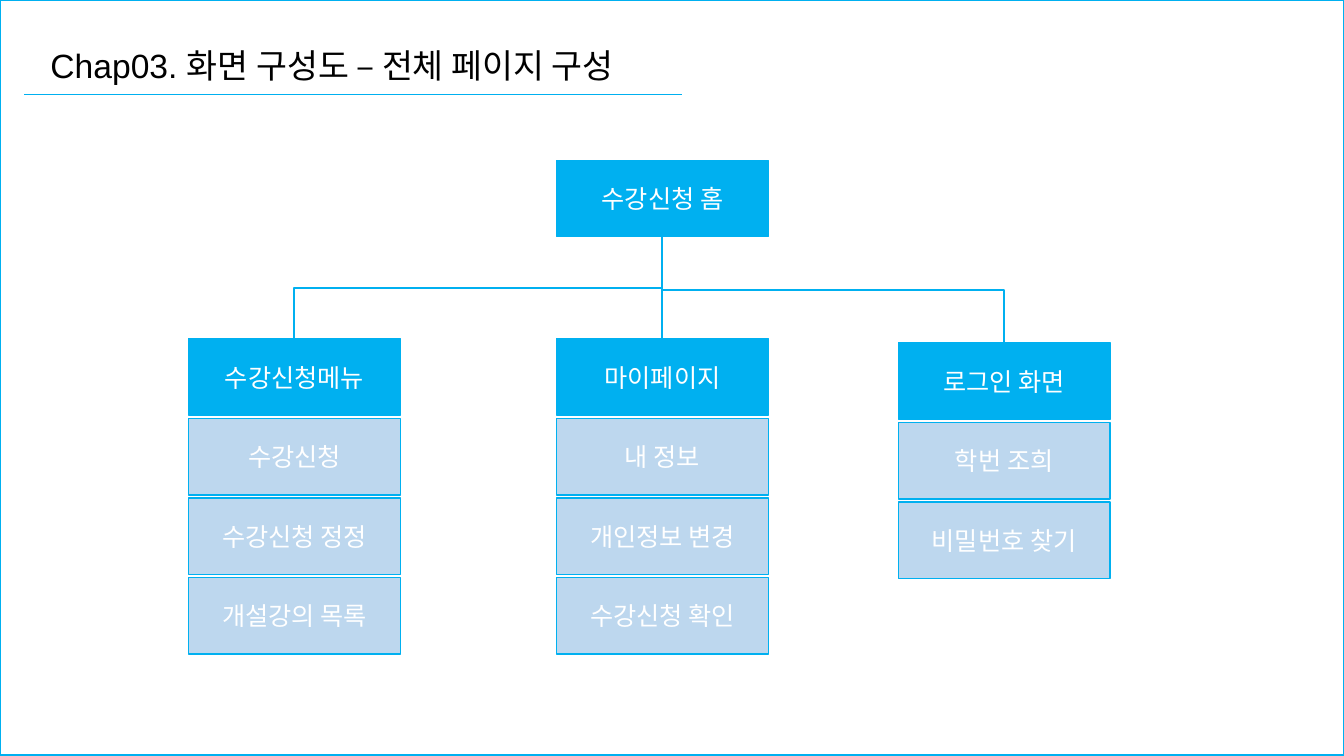
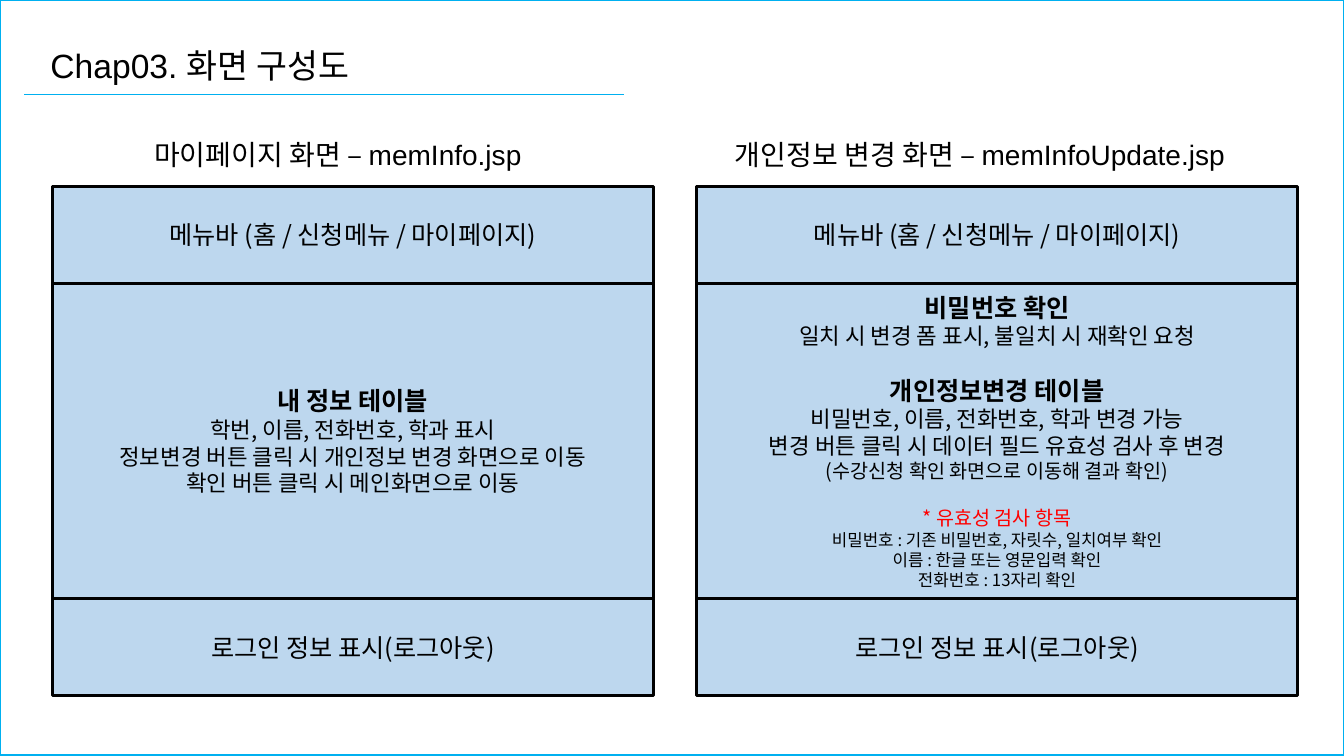
from lxml.etree import SubElement
from pptx import Presentation
from pptx.dml.color import RGBColor
from pptx.enum.shapes import MSO_CONNECTOR as CONN, MSO_SHAPE as SHAPE
from pptx.enum.text import MSO_ANCHOR as ANCHOR, MSO_AUTO_SIZE as FIT, PP_ALIGN as ALIGN
from pptx.oxml.ns import qn
from pptx.util import Inches, Pt

BLUE = RGBColor(0x00, 0xB0, 0xF0)
PALE = RGBColor(0xBD, 0xD7, 0xEE)
BLACK = RGBColor(0, 0, 0)
WHITE = RGBColor(0xFF, 0xFF, 0xFF)
RED = RGBColor(0xFF, 0, 0)
LATIN, KOREAN = "Arial", "Noto Sans CJK KR"


class Deck:
    """Shared style and the slide being built."""

    def __init__(self):
        self.prs = Presentation()
        self.prs.slide_width, self.prs.slide_height = Inches(13.33), Inches(7.5)
        self.slide = None

    def font(self, p, size, color=BLACK, name=KOREAN, bold=False):
        f = p.font
        f.size, f.bold, f.name = Pt(size), bold, name
        f.color.rgb = color
        # Korean characters need the East Asian typeface
        rpr = p._p.pPr.find(qn("a:defRPr"))
        SubElement(rpr, qn("a:ea")).set("typeface", KOREAN)

    def new_slide(self, title, width, rule_end):
        self.slide = self.prs.slides.add_slide(self.prs.slide_layouts[5])
        self.box(0, 0, 13.33, 7.49)
        self.line(0.24, 0.94, rule_end, 0.94, 0.5)
        sp = self.slide.shapes.title
        sp.left, sp.top = Inches(0.4), Inches(0.4)
        sp.width, sp.height = Inches(width), Inches(0.5)
        self.label(sp.text_frame, title, 24)

    def label(self, tf, text, size, spacing=1.0):
        """One unwrapped line of left-aligned text."""
        tf.word_wrap, tf.auto_size = False, FIT.NONE
        tf.vertical_anchor = ANCHOR.TOP
        tf.text = text
        p = tf.paragraphs[0]
        p.alignment, p.line_spacing = ALIGN.LEFT, spacing
        self.font(p, size, name=LATIN)

    def caption(self, x, y, w, text):
        tb = self.slide.shapes.add_textbox(Inches(x), Inches(y), Inches(w), Inches(0.54))
        self.label(tb.text_frame, text, 20, 1.5)

    def box(self, x, y, w, h, fill=None, line=BLUE, weight=1, rows=()):
        """Rectangle; rows hold (text, size, color, bold, space before)."""
        sp = self.slide.shapes.add_shape(
            SHAPE.RECTANGLE, Inches(x), Inches(y), Inches(w), Inches(h))
        sp.shadow.inherit = False
        if fill is None:
            sp.fill.background()
        else:
            sp.fill.solid()
            sp.fill.fore_color.rgb = fill
        sp.line.color.rgb, sp.line.width = line, Pt(weight)
        tf = sp.text_frame
        tf.word_wrap, tf.vertical_anchor = True, ANCHOR.MIDDLE
        for i, (text, size, color, bold, before) in enumerate(rows):
            p = tf.add_paragraph() if i else tf.paragraphs[0]
            p.text, p.alignment = text, ALIGN.CENTER
            if before:
                p.space_before = Pt(before)
            self.font(p, size, color, bold=bold)

    def line(self, x1, y1, x2, y2, weight=1.5, kind=CONN.STRAIGHT):
        cn = self.slide.shapes.add_connector(
            kind, Inches(x1), Inches(y1), Inches(x2), Inches(y2))
        cn.line.color.rgb, cn.line.width = BLUE, Pt(weight)
        SubElement(cn._element.spPr, qn("a:effectLst"))
        return cn

    def elbow(self, x1, y1, x2, y2):
        """Down, across, down: a bent connector turned by a quarter."""
        cx, cy = (x1 + x2) / 2, (y1 + y2) / 2
        half_w, half_h = abs(x2 - x1) / 2, (y2 - y1) / 2
        side = 1 if x2 < x1 else -1
        cn = self.line(cx - side * half_h, cy - half_w,
                       cx + side * half_h, cy + half_w, kind=CONN.ELBOW)
        degrees = 90 if side > 0 else 270
        cn._element.spPr.find(qn("a:xfrm")).set("rot", str(degrees * 60000))


def row(text, size=18, color=BLACK, bold=False, before=0):
    return text, size, color, bold, before


def site_map(deck):
    deck.new_slide("Chap03. 화면 구성도 – 전체 페이지 구성", 6.36, 6.76)
    box_w, box_h, pitch = 2.1, 0.76, 0.79
    home_x, home_y = 5.52, 1.59
    root_x, root_y = home_x + box_w / 2, home_y + box_h
    columns = [
        (1.87, 3.36, ["수강신청메뉴", "수강신청", "수강신청 정정", "개설강의 목록"]),
        (home_x, 3.36, ["마이페이지", "내 정보", "개인정보 변경", "수강신청 확인"]),
        (8.91, 3.4, ["로그인 화면", "학번 조희", "비밀번호 찾기"]),
    ]
    deck.box(home_x, home_y, box_w, box_h, BLUE, rows=[row("수강신청 홈", color=WHITE)])
    for x, top, names in columns:
        # Menu heading above its pages
        for i, name in enumerate(names):
            deck.box(x, top + i * pitch, box_w, box_h, PALE if i else BLUE,
                     rows=[row(name, color=WHITE)])
        # Branch from the home page
        draw = deck.line if x == home_x else deck.elbow
        draw(root_x, root_y, x + box_w / 2, top)


def page_layouts(deck):
    deck.new_slide("Chap03. 화면 구성도", 3.47, 6.19)
    my_info = [
        row("내 정보 테이블", bold=True),
        row("학번, 이름, 전화번호, 학과 표시", 16),
        row("정보변경 버튼 클릭 시 개인정보 변경 화면으로 이동", 16),
        row("확인 버튼 클릭 시 메인화면으로 이동", 16),
    ]
    update_info = [
        row("비밀번호 확인", bold=True),
        row("일치 시 변경 폼 표시, 불일치 시 재확인 요청", 16),
        row("개인정보변경 테이블", bold=True, before=18.5),
        row("비밀번호, 이름, 전화번호, 학과 변경 가능", 16),
        row("변경 버튼 클릭 시 데이터 필드 유효성 검사 후 변경", 16),
        row("(수강신청 확인 화면으로 이동해 결과 확인)", 14),
        row("* 유효성 검사 항목", 14, RED, before=16.5),
        row("비밀번호 : 기존 비밀번호, 자릿수, 일치여부 확인", 12),
        row("이름 : 한글 또는 영문입력 확인", 12),
        row("전화번호 : 13자리 확인", 12),
    ]
    pages = [
        (0.52, 1.43, 4.13, "마이페이지 화면 – memInfo.jsp", my_info),
        (6.91, 7.19, 5.41, "개인정보 변경 화면 – memInfoUpdate.jsp", update_info),
    ]
    for x, caption_x, caption_w, caption, content in pages:
        deck.caption(caption_x, 1.15, caption_w, caption)
        # Menu bar, content and login bar, stacked
        y = 1.85
        for h, rows in [(0.96, [row("메뉴바 (홈 / 신청메뉴 / 마이페이지)")]),
                        (3.13, content),
                        (0.96, [row("로그인 정보 표시(로그아웃)")])]:
            deck.box(x, y, 5.96, h, PALE, BLACK, 2.25, rows)
            y += h


def main():
    deck = Deck()
    site_map(deck)
    page_layouts(deck)
    deck.prs.save("out.pptx")


if __name__ == "__main__":
    main()
